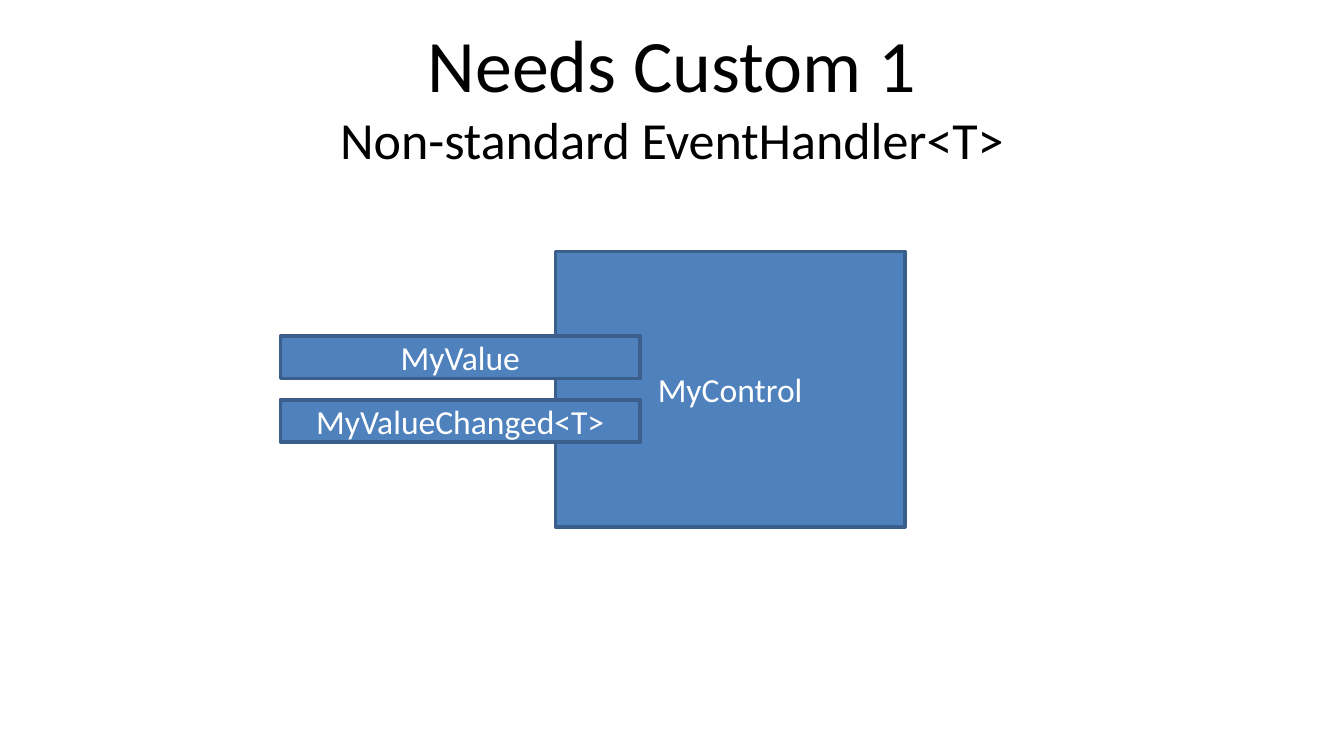
import pptx
import pptx.dml.color
import pptx.enum.shapes
import pptx.enum.text
import pptx.oxml.ns
import lxml.etree
from pptx.util import Cm

BLACK = pptx.dml.color.RGBColor(0x00, 0x00, 0x00)
WHITE = pptx.dml.color.RGBColor(0xFF, 0xFF, 0xFF)
BLUE = pptx.dml.color.RGBColor(0x4F, 0x81, 0xBD)
NAVY = pptx.dml.color.RGBColor(0x3A, 0x5F, 0x8C)
FONT = "Calibri"


def write(para, text, size=18, color=WHITE):
    """Add one centred run to a paragraph."""
    para.alignment = pptx.enum.text.PP_ALIGN.CENTER
    run = para.add_run()
    run.text = text
    run.font.name = FONT
    run.font.size = pptx.util.Pt(size)
    run.font.color.rgb = color


def break_line(para, size):
    """Add a line break as tall as the text before it."""
    para.add_line_break()
    mark = para._p.findall(pptx.oxml.ns.qn("a:br"))[-1]
    lxml.etree.SubElement(mark, pptx.oxml.ns.qn("a:rPr"), sz=str(round(size * 100)))


def add_title(slide, box):
    title = slide.shapes.title
    title.left, title.top, title.width, title.height = box
    frame = title.text_frame
    frame.word_wrap = True
    frame.auto_size = pptx.enum.text.MSO_AUTO_SIZE.NONE
    frame.vertical_anchor = pptx.enum.text.MSO_ANCHOR.MIDDLE
    para = frame.paragraphs[0]
    write(para, "Needs Custom 1", size=39.6, color=BLACK)
    break_line(para, 39.6)
    write(para, "Non-standard EventHandler<T>", size=27.9, color=BLACK)


def add_block(shapes, box, text):
    block = shapes.add_shape(pptx.enum.shapes.MSO_SHAPE.RECTANGLE, *box)
    block.shadow.inherit = False
    block.fill.solid()
    block.fill.fore_color.rgb = BLUE
    block.line.color.rgb = NAVY
    block.line.width = pptx.util.Pt(2)
    frame = block.text_frame
    frame.word_wrap = True
    frame.vertical_anchor = pptx.enum.text.MSO_ANCHOR.MIDDLE
    write(frame.paragraphs[0], text)


def add_members(slide, box, names):
    """Stack equal bars from the top to the bottom of the box."""
    left, top, width, height = box
    bar = Cm(0.8)
    step = (height - bar) // (len(names) - 1)
    group = slide.shapes.add_group_shape()
    for row, name in enumerate(names):
        add_block(group.shapes, (left, top + row * step, width, bar), name)


def main():
    deck = pptx.Presentation()
    deck.slide_width, deck.slide_height = Cm(25.4), Cm(14.28)
    slide = deck.slides.add_slide(deck.slide_layouts[5])

    # Heading
    add_title(slide, (Cm(1.27), Cm(0.58), Cm(22.86), Cm(2.39)))

    # Control with its members on the left edge
    add_block(slide.shapes, (Cm(10.5), Cm(4.75), Cm(6.6), Cm(5.2)), "MyControl")
    add_members(slide, (Cm(5.3), Cm(6.35), Cm(6.8), Cm(2)),
                ["MyValue", "MyValueChanged<T>"])

    deck.save("out.pptx")


if __name__ == "__main__":
    main()
